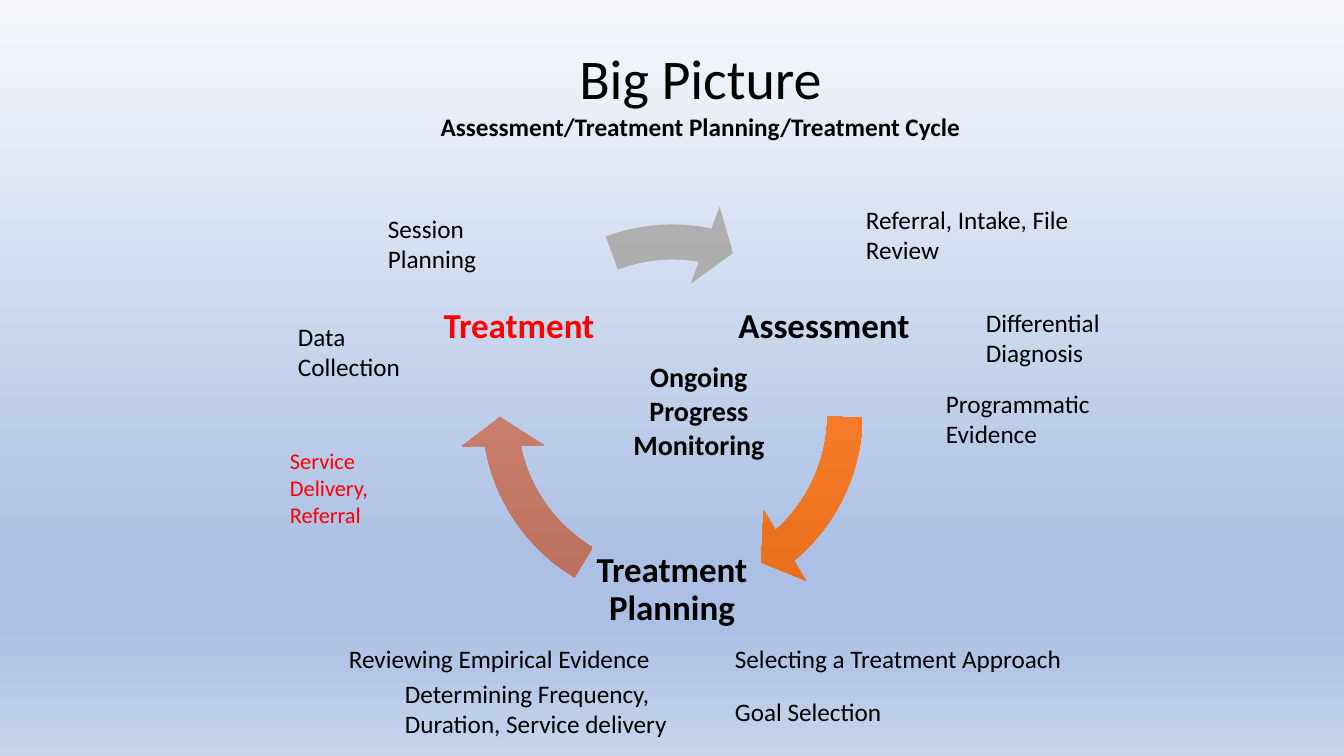
"""Build the Big Picture slide: the assessment, planning and treatment cycle."""
from dataclasses import dataclass
from typing import Any

from lxml.etree import SubElement
from pptx import Presentation
from pptx.dml.color import RGBColor
from pptx.enum.shapes import MSO_SHAPE as Preset
from pptx.enum.text import MSO_ANCHOR as Anchor, MSO_AUTO_SIZE as AutoSize, PP_ALIGN as Align
from pptx.oxml.ns import qn
from pptx.util import Pt

EMU_PER_PX = 914400 / 100.8
Stops = tuple[tuple[int, str], ...]


@dataclass(frozen=True)
class Theme:
    font: str = "Calibri"
    ink: str = "000000"
    alert: str = "FF0000"
    title: int = 40
    stage: int = 25
    core: int = 20
    body: int = 18
    small: int = 16
    sky: Stops = ((0, "F6F8FC"), (74, "ABC0E4"), (83, "ABC0E4"), (100, "C7D5ED"))
    orange: Stops = ((0, "F18C57"), (50, "F67B28"), (100, "E56C19"))
    clay: Stops = ((0, "CB8F81"), (50, "C97E6B"), (100, "B76D5B"))
    gray: Stops = ((0, "AFAFAF"), (50, "A5A5A5"), (100, "939393"))


THEME = Theme()


@dataclass(frozen=True)
class Line:
    text: str
    size: int = THEME.body
    bold: bool = False
    color: str = THEME.ink


@dataclass(frozen=True)
class Label:
    box: tuple[int, int, int, int]
    lines: tuple[Line, ...]
    align: Align = Align.LEFT


@dataclass(frozen=True)
class Stage:
    left: int
    top: int
    name: str
    color: str = THEME.ink


@dataclass(frozen=True)
class CycleArrow:
    start: float
    end: float
    stops: Stops


STAGE_SIDE = 180
CYCLE_BOX = (459, 201, 427, 427)
BAND, HEAD_ANGLE, HEAD_HALF = 0.082, 9.6, 0.096
DEGREE = 0.6

STAGES = (
    Stage(734, 237, "Assessment"),
    Stage(582, 500, "Treatment Planning"),
    Stage(429, 237, "Treatment", THEME.alert),
)
ARROWS = (
    CycleArrow(0.86, 49.4, THEME.orange),
    CycleArrow(121, 169.54, THEME.clay),
    CycleArrow(249.45, 280.95, THEME.gray),
)
HEADING = Label(
    (288, 39, 825, 109),
    (Line("Big Picture", THEME.title),
     Line("Assessment/Treatment Planning/Treatment Cycle", bold=True)),
    Align.CENTER,
)
CORE = Label((602, 355, 194, 112), (Line("Ongoing Progress Monitoring", THEME.core, True),), Align.CENTER)
ACTIVITIES = (
    Label((856, 199, 241, 72), (Line("Referral, Intake, File Review"),)),
    Label((976, 302, 167, 72), (Line("Differential Diagnosis"),)),
    Label((936, 383, 176, 72), (Line("Programmatic Evidence"),)),
    Label((339, 638, 362, 40), (Line("Reviewing Empirical Evidence"),)),
    Label((725, 638, 388, 40), (Line("Selecting a Treatment Approach"),)),
    Label((395, 673, 330, 72), (Line("Determining Frequency, Duration, Service delivery"),)),
    Label((725, 691, 318, 40), (Line("Goal Selection"),)),
    Label((378, 208, 142, 72), (Line("Session Planning"),)),
    Label((288, 316, 141, 72), (Line("Data Collection"),)),
    Label((280, 442, 149, 92), (Line("Service Delivery, Referral", THEME.small, color=THEME.alert),)),
)


def px(length: int) -> int:
    return round(length * EMU_PER_PX)


def apply(target: Any, values: dict[str, Any]) -> None:
    for name, value in values.items():
        setattr(target, name, value)


def paint_gradient(fill: Any, owner: Any, stops: Stops) -> None:
    fill.gradient()
    fill.gradient_angle = 270
    stop_list = next(owner.iter(qn("a:gsLst")))
    for default_stop in list(stop_list):
        stop_list.remove(default_stop)
    for percent, color in stops:
        stop = SubElement(stop_list, qn("a:gs"), pos=str(percent * 1000))
        SubElement(stop, qn("a:srgbClr"), val=color)


def draw_label(slide: Any, label: Label, frame_format: dict[str, Any], spacing: float = 1.0) -> None:
    frame = slide.shapes.add_textbox(*map(px, label.box)).text_frame
    apply(frame, {"word_wrap": True} | frame_format)
    for index, line in enumerate(label.lines):
        paragraph = frame.add_paragraph() if index else frame.paragraphs[0]
        apply(paragraph, {"alignment": label.align, "line_spacing": spacing})
        run = paragraph.add_run()
        run.text = line.text
        apply(run.font, {"name": THEME.font, "size": Pt(line.size), "bold": line.bold})
        run.font.color.rgb = RGBColor.from_string(line.color)


def draw_stage(slide: Any, stage: Stage) -> None:
    name = Line(stage.name, THEME.stage, True, stage.color)
    label = Label((stage.left, stage.top, STAGE_SIDE, STAGE_SIDE), (name,), Align.CENTER)
    insets = {f"margin_{side}": px(3) for side in ("left", "top", "right", "bottom")}
    draw_label(slide, label, {"vertical_anchor": Anchor.MIDDLE} | insets, 0.9)


def draw_arrow(slide: Any, arrow: CycleArrow) -> None:
    shape = slide.shapes.add_shape(Preset.CIRCULAR_ARROW, *map(px, CYCLE_BOX))
    angles = (angle * DEGREE for angle in (HEAD_ANGLE, arrow.end, arrow.start))
    for index, value in enumerate((BAND, *angles, HEAD_HALF)):
        shape.adjustments[index] = value
    shape.shadow.inherit = False
    shape.line.fill.background()
    paint_gradient(shape.fill, shape.element, arrow.stops)


def main() -> None:
    deck = Presentation()
    apply(deck, {"slide_width": px(1344), "slide_height": px(756)})
    slide = deck.slides.add_slide(deck.slide_layouts[6])
    paint_gradient(slide.background.fill, slide.element, THEME.sky)
    for stage, arrow in zip(STAGES, ARROWS):
        draw_stage(slide, stage)
        draw_arrow(slide, arrow)
    for label in (HEADING, CORE, *ACTIVITIES):
        draw_label(slide, label, {"auto_size": AutoSize.SHAPE_TO_FIT_TEXT})
    deck.save("out.pptx")


if __name__ == "__main__":
    main()
